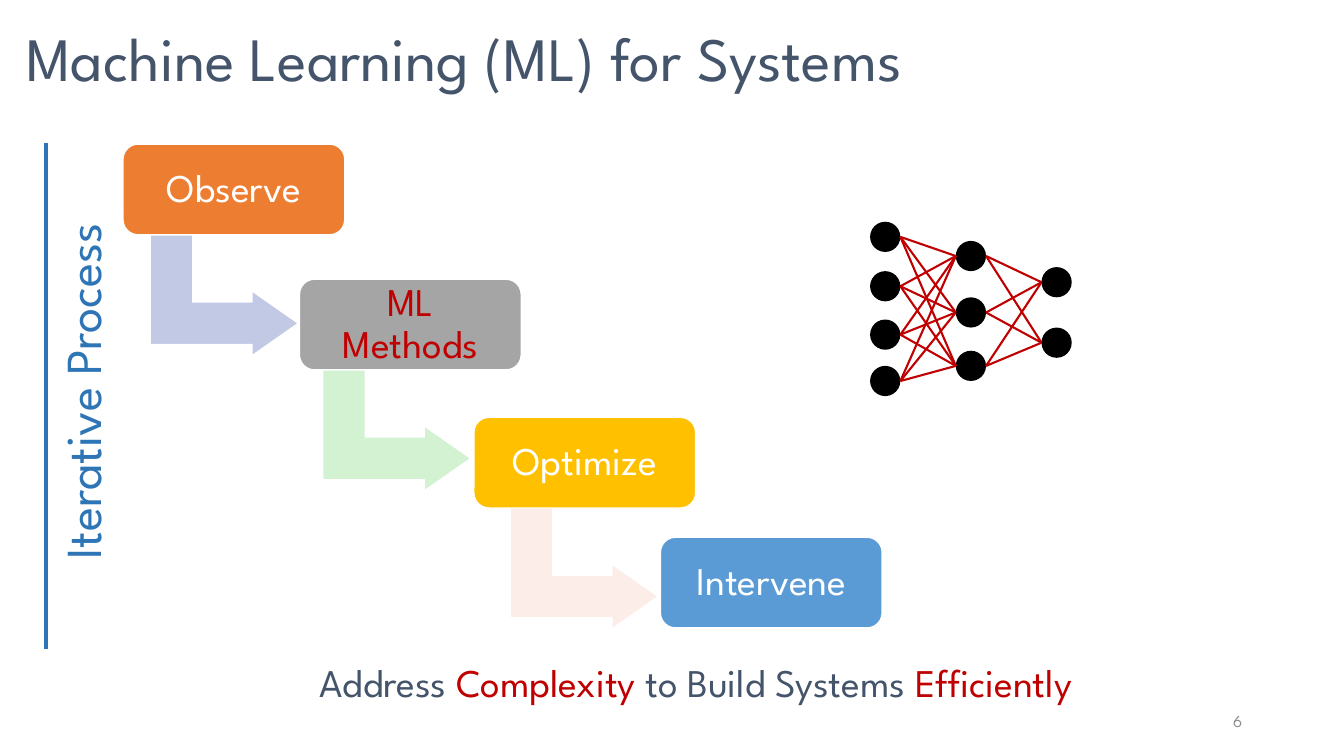
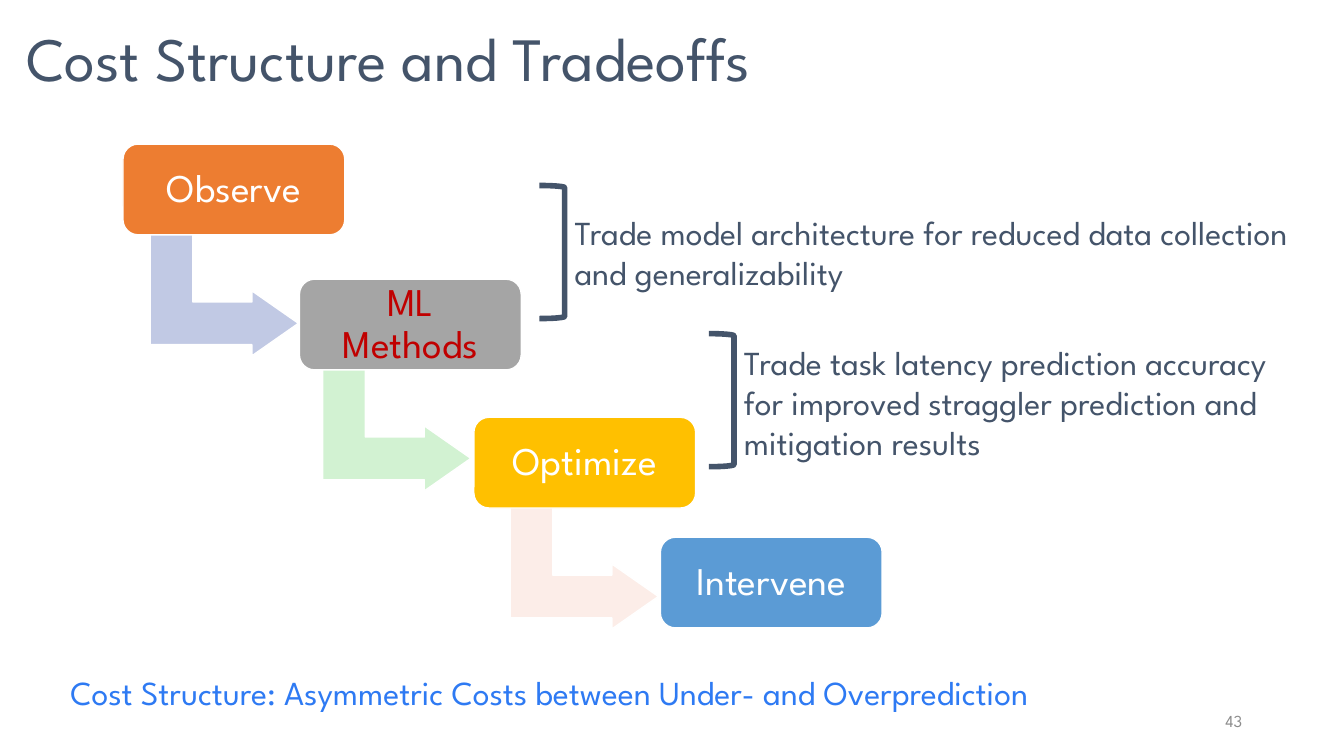
from itertools import product

from pptx import Presentation
from pptx.dml.color import RGBColor as RGB
from pptx.enum.shapes import MSO_CONNECTOR as Wire, MSO_SHAPE as Kind
from pptx.enum.text import MSO_ANCHOR as Anchor, PP_ALIGN as Align
from pptx.oxml.ns import qn
from pptx.util import Inches, Pt
from lxml.etree import SubElement

FONT = "League Spartan"
SLATE = RGB(0x44, 0x54, 0x6A)
RED = RGB(0xC0, 0x00, 0x00)
WHITE = RGB(0xFF, 0xFF, 0xFF)
BLACK = RGB(0x00, 0x00, 0x00)
GRAY = RGB(0x8C, 0x8C, 0x8C)
BLUE = RGB(0x2E, 0x75, 0xB6)
BRIGHT = RGB(0x2E, 0x7A, 0xF3)
ORANGE = RGB(0xED, 0x7D, 0x31)
STEEL = RGB(0xA5, 0xA5, 0xA5)
GOLD = RGB(0xFF, 0xC0, 0x00)
SKY = RGB(0x5B, 0x9B, 0xD5)
LILAC = RGB(0xC1, 0xC9, 0xE4)
MINT = RGB(0xD2, 0xF2, 0xD2)
BLUSH = RGB(0xFC, 0xED, 0xE8)

deck = Presentation()
deck.slide_width, deck.slide_height = Inches(13.33), Inches(7.5)
COL = deck.slide_width / 133.3
ROW = deck.slide_height / 75


def cell(col, row, wide, high):
    """Turn grid columns and rows into a place on the slide."""
    return [round(n) for n in (col * COL, row * ROW, wide * COL, high * ROW)]


def write(shape, text, size=24, color=SLATE, align=Align.LEFT,
          anchor=Anchor.TOP, lead=1.0, inset=None):
    """Fill a shape with text: a string, or a list of (string, colour)."""
    frame = shape.text_frame
    frame.word_wrap = True
    frame.vertical_anchor = anchor
    if inset:
        frame.margin_left = frame.margin_right = inset
        frame.margin_top = frame.margin_bottom = inset
    para = frame.paragraphs[0]
    para.alignment, para.line_spacing = align, lead
    for part, tint in [(text, color)] if isinstance(text, str) else text:
        run = para.add_run()
        run.text = part
        run.font.name, run.font.size = FONT, Pt(size)
        run.font.color.rgb = tint


# Steps: label, box column and row, box fill, text colour, arrow column, arrow fill
STEPS = [
    ("Observe", 12.2, 14.3, ORANGE, WHITE, 15.8, LILAC),
    ("ML Methods", 29.7, 27.7, STEEL, RED, 32.9, MINT),
    ("Optimize", 47, 41.4, GOLD, WHITE, 51.5, BLUSH),
    ("Intervene", 65.5, 53.3, SKY, WHITE, None, None),
]
PAGES = [("Machine Learning (ML) for Systems", "6"),
         ("Cost Structure and Tradeoffs", "43")]

# Shared parts: title, page number and staircase of steps
slides = []
for title, page in PAGES:
    slide = deck.slides.add_slide(deck.slide_layouts[6])
    slides.append(slide)
    put = slide.shapes
    write(put.add_textbox(*cell(1.6, 2.4, 131.7, 7.5)), title, size=44,
          anchor=Anchor.BOTTOM, lead=0.9)
    write(put.add_textbox(*cell(94.2, 69.5, 30, 4)), page, size=12,
          color=GRAY, align=Align.RIGHT, anchor=Anchor.MIDDLE)
    for label, col, row, fill, ink, bend, pale in STEPS:
        parts = [(Kind.ROUNDED_RECTANGLE, cell(col, row, 22, 9), fill, [0.167])]
        if bend:
            parts.insert(0, (Kind.BENT_UP_ARROW, cell(bend, row + 7.2, 12.9, 14.7),
                             pale, [0.328, 0.25, 0.358]))
        for kind, place, tint, bends in parts:
            shape = put.add_shape(kind, *place)
            shape.shadow.inherit = False
            shape.fill.solid()
            shape.fill.fore_color.rgb = tint
            shape.line.color.rgb, shape.line.width = WHITE, Pt(1)
            for i, bend_size in enumerate(bends):
                shape.adjustments[i] = bend_size
            if kind == Kind.BENT_UP_ARROW:
                shape.rotation = 90
        write(shape, label, size=28, color=ink, align=Align.CENTER,
              anchor=Anchor.MIDDLE, lead=0.9, inset=Inches(0.12))

# First slide: closing line and upright label
put = slides[0].shapes
write(put.add_textbox(*cell(30.7, 64.8, 103.8, 5.7)),
      [("Address ", SLATE), ("Complexity ", RED),
       ("to Build Systems ", SLATE), ("Efficiently", RED)], size=28)
side = put.add_textbox(*cell(-14, 35.3, 44.2, 7.1))
side.rotation = 270
write(side, "Iterative Process", size=36, color=BLUE, align=Align.CENTER)

# Neural network: dots by layer, then wires between neighbouring layers
DOT = 3
LAYERS = [(86.3, (22, 26.9, 31.7, 36.3)),
          (94.8, (23.9, 29.5, 34.8)),
          (103.3, (26.5, 32.5))]
for col, rows in LAYERS:
    for row in rows:
        dot = put.add_shape(Kind.OVAL, *cell(col, row, DOT, DOT))
        dot.shadow.inherit = False
        dot.fill.solid()
        dot.fill.fore_color.rgb = BLACK
        dot.line.fill.background()

wires = [(4.6, 14.2, 4.6, 64.4, BLUE, 3)]
for (left, starts), (right, ends) in zip(LAYERS, LAYERS[1:]):
    for top, end in product(starts, ends):
        wires.append((left + DOT, top + DOT / 2, right, end + DOT / 2, RED, 1.5))
for x1, y1, x2, y2, tint, thick in wires:
    wire = put.add_connector(Wire.STRAIGHT, *cell(x1, y1, x2, y2))
    wire.line.color.rgb, wire.line.width = tint, Pt(thick)
    SubElement(wire._element.spPr, qn("a:effectLst"))

# Second slide: bracketed tradeoffs and closing line
put = slides[1].shapes
TRADES = [
    (53.5, 18.4, 20.5, 73.7, 9.1, "Trade model architecture for reduced data "
     "collection and generalizability"),
    (70.3, 33.1, 33.4, 56.9, 13.1, "Trade task latency prediction accuracy for "
     "improved straggler prediction and mitigation results"),
]
for col, row, top, wide, high, text in TRADES:
    brace = put.add_shape(Kind.RIGHT_BRACKET, *cell(col, row, 2.5, 13.2))
    brace.shadow.inherit = False
    brace.fill.background()
    brace.line.color.rgb, brace.line.width = SLATE, Pt(4)
    write(put.add_textbox(*cell(col + 2.5, top, wide, high)), text)
write(put.add_textbox(*cell(6, 66.2, 118.2, 5)),
      "Cost Structure: Asymmetric Costs between Under- and Overprediction",
      color=BRIGHT)

deck.save("out.pptx")
